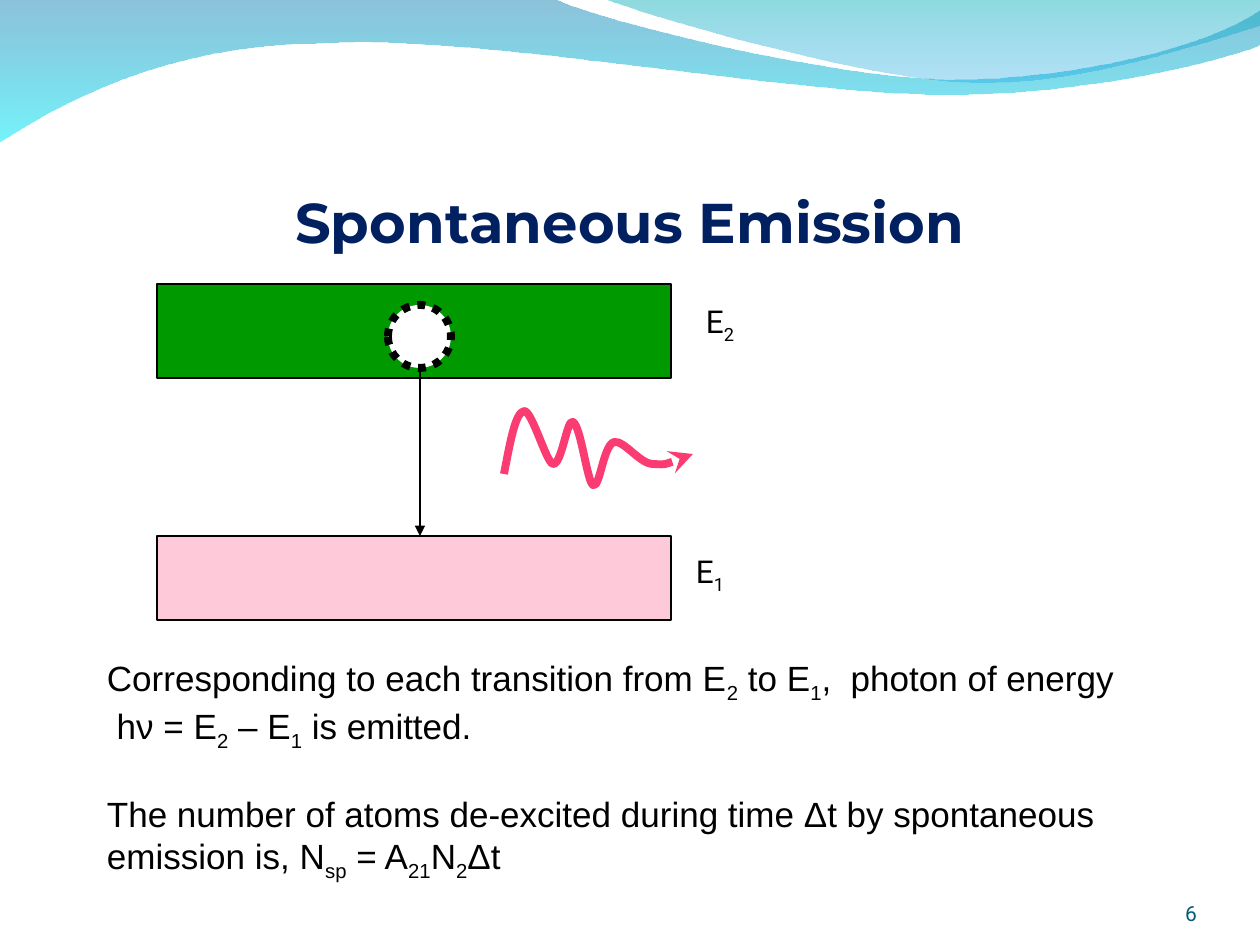
from dataclasses import dataclass

from lxml.etree import SubElement
from pptx import Presentation
from pptx.dml.color import RGBColor
from pptx.enum.dml import MSO_LINE
from pptx.enum.shapes import MSO_CONNECTOR, MSO_SHAPE
from pptx.enum.text import MSO_ANCHOR, MSO_AUTO_SIZE, PP_ALIGN
from pptx.oxml.ns import qn
from pptx.util import Emu, Pt

EMU_PER_PX = 914400 / 126

COLORS = {
    "title": "002060",
    "number": "045C75",
    "black": "000000",
    "white": "FFFFFF",
    "upper level": "009900",
    "lower level": "FECAD9",
    "photon": "FA3C72",
    "ribbon top": "0079AF",
    "ribbon bottom": "00EBF8",
    "veil top": "00ADB6",
    "veil bottom": "009BE5",
}


@dataclass
class Label:
    """A text block; within a paragraph, every second part between bars is a subscript."""
    box: tuple[int, int, int, int]
    paragraphs: list[str]
    size: int
    font: str
    color: str = "black"
    bold: bool = False
    align: PP_ALIGN = PP_ALIGN.LEFT
    anchor: MSO_ANCHOR = MSO_ANCHOR.TOP
    margins: tuple[int, int, int, int] = (13, 6, 13, 6)
    space_before: tuple[float, ...] = (0,)
    grows: bool = True


@dataclass
class Solid:
    box: tuple[int, int, int, int]
    kind: MSO_SHAPE
    fill: str
    line_width: float = 0.75
    dash: MSO_LINE | None = None


@dataclass
class Curve:
    """Segments of one point are straight, segments of three points are Béziers."""
    start: tuple[int, int]
    segments: list[tuple]
    closed: bool = True


@dataclass
class Band:
    curve: Curve
    stops: tuple[tuple[str, int], tuple[str, int]]  # colour, opacity in percent


BANDS = [
    Band(Curve((0, -1), [
        ((554, -1),),
        ((600, 21), (837, 79), (955, 79)),
        ((1075, 79), (1207, 47), (1260, 11)),
        ((1261, 45),),
        ((1239, 55), (1096, 96), (940, 94)),
        ((784, 94), (481, 35), (324, 43)),
        ((163, 44), (58, 105), (-1, 142)),
    ]), (("ribbon top", 45), ("ribbon bottom", 55))),
    Band(Curve((604, -1), [
        ((641, 14), (859, 78), (969, 82)),
        ((1079, 87), (1211, 40), (1260, 26)),
        ((1260, 0),),
    ]), (("veil top", 45), ("veil bottom", 30))),
]

PHOTON = Curve((504, 474), [
    ((510, 444), (515, 413), (524, 411)),
    ((532, 410), (546, 462), (553, 464)),
    ((562, 465), (567, 418), (573, 422)),
    ((581, 426), (587, 481), (593, 485)),
    ((600, 489), (603, 446), (614, 442)),
    ((624, 440), (640, 464), (653, 464)),
    ((667, 465), (679, 460), (693, 454)),
], closed=False)

SOLIDS = [
    Solid((157, 284, 514, 94), MSO_SHAPE.RECTANGLE, "upper level"),
    Solid((157, 536, 514, 84), MSO_SHAPE.RECTANGLE, "lower level"),
    Solid((388, 305, 63, 63), MSO_SHAPE.OVAL, "white", 4.5, MSO_LINE.ROUND_DOT),
]

LABELS = [
    Label((63, 97, 1134, 158), ["Spontaneous Emission"], 32, "Montserrat", "title", True,
          PP_ALIGN.CENTER, MSO_ANCHOR.BOTTOM, (0, 6, 0, 0), grows=False),
    Label((1092, 876, 105, 50), ["6"], 12, "Roboto", "number", False,
          PP_ALIGN.RIGHT, MSO_ANCHOR.BOTTOM, (0, 0, 0, 0), grows=False),
    Label((94, 651, 1081, 241), [
        "Corresponding to each transition from E|2| to E|1|,  photon of energy",
        " hν = E|2| – E|1| is emitted.",
        "The number of atoms de-excited during time Δt by spontaneous emission is, "
        "N|sp| = A|21|N|2|Δt",
    ], 20, "Arial", space_before=(0, 0, 23)),
    Label((693, 296, 262, 55), ["E|2"], 18, "Roboto", space_before=(11.2,)),
    Label((683, 546, 262, 55), ["E|1"], 18, "Roboto", space_before=(11.2,)),
]


def px(value: int) -> Emu:
    return Emu(round(value * EMU_PER_PX))


def rgb(name: str) -> RGBColor:
    return RGBColor.from_string(COLORS[name])


def set_line(shape, color: str, width: float) -> None:
    shape.line.color.rgb = rgb(color)
    shape.line.width = Pt(width)


def add_arrowhead(shape, end: str, kind: str) -> None:
    SubElement(shape.line._get_or_add_ln(), qn(f"a:{end}End"), type=kind)


def add_curve(slide, curve: Curve):
    builder = slide.shapes.build_freeform(*curve.start, scale=EMU_PER_PX)
    points = [point for segment in curve.segments for point in segment]
    builder.add_line_segments(points, close=curve.closed)
    shape = builder.convert_to_shape()
    shape.shadow.inherit = False
    straight = iter(list(shape._element.iter(qn("a:lnTo"))))
    for segment in curve.segments:
        steps = [next(straight) for _ in segment]
        if len(steps) == 3:
            first, *others = steps
            bezier = first.makeelement(qn("a:cubicBezTo"))
            first.addprevious(bezier)
            for step in steps:
                bezier.append(step[0])
                step.getparent().remove(step)
    return shape


def add_band(slide, band: Band) -> None:
    shape = add_curve(slide, band.curve)
    shape.line.fill.background()
    shape.fill.gradient()
    shape.fill.gradient_angle = 270
    for stop, (color, _) in zip(shape.fill.gradient_stops, band.stops):
        stop.color.rgb = rgb(color)
    for element, (_, opacity) in zip(shape._element.iter(qn("a:srgbClr")), band.stops):
        SubElement(element, qn("a:alpha"), val=str(opacity * 1000))


def add_solid(slide, solid: Solid) -> None:
    shape = slide.shapes.add_shape(solid.kind, *map(px, solid.box))
    shape.shadow.inherit = False
    shape.fill.solid()
    shape.fill.fore_color.rgb = rgb(solid.fill)
    set_line(shape, "black", solid.line_width)
    if solid.dash:
        shape.line.dash_style = solid.dash


def add_label(slide, label: Label) -> None:
    frame = slide.shapes.add_textbox(*map(px, label.box)).text_frame
    frame.word_wrap = True
    frame.vertical_anchor = label.anchor
    frame.auto_size = MSO_AUTO_SIZE.SHAPE_TO_FIT_TEXT if label.grows else MSO_AUTO_SIZE.NONE
    (frame.margin_left, frame.margin_top,
     frame.margin_right, frame.margin_bottom) = map(px, label.margins)
    frame.text = "\n".join(text.replace("|", "") for text in label.paragraphs)
    for paragraph, text, space in zip(
            frame.paragraphs, label.paragraphs,
            label.space_before * (len(label.paragraphs) // len(label.space_before))):
        paragraph.alignment = label.align
        paragraph.space_before = Pt(space)
        paragraph.clear()
        for index, part in enumerate(text.split("|")):
            run = paragraph.add_run()
            run.text = part
            run.font.size = Pt(label.size)
            run.font.name = label.font
            run.font.bold = label.bold
            run.font.color.rgb = rgb(label.color)
            if index % 2:
                run._r.get_or_add_rPr().set("baseline", "-25000")


def add_transition(slide) -> None:
    arrow = slide.shapes.add_connector(MSO_CONNECTOR.STRAIGHT, px(420), px(536), px(420), px(368))
    set_line(arrow, "black", 0.75)
    add_arrowhead(arrow, "head", "triangle")
    SubElement(arrow._element.spPr, qn("a:effectLst"))


def add_photon(slide) -> None:
    photon = add_curve(slide, PHOTON)
    photon.fill.background()
    set_line(photon, "photon", 4.5)
    add_arrowhead(photon, "tail", "stealth")


def main() -> None:
    presentation = Presentation()
    presentation.slide_width, presentation.slide_height = px(1260), px(945)
    slide = presentation.slides.add_slide(presentation.slide_layouts[6])
    for band in BANDS:
        add_band(slide, band)
    for solid in SOLIDS:
        add_solid(slide, solid)
    add_transition(slide)
    for label in LABELS:
        add_label(slide, label)
    add_photon(slide)
    presentation.save("out.pptx")


if __name__ == "__main__":
    main()
